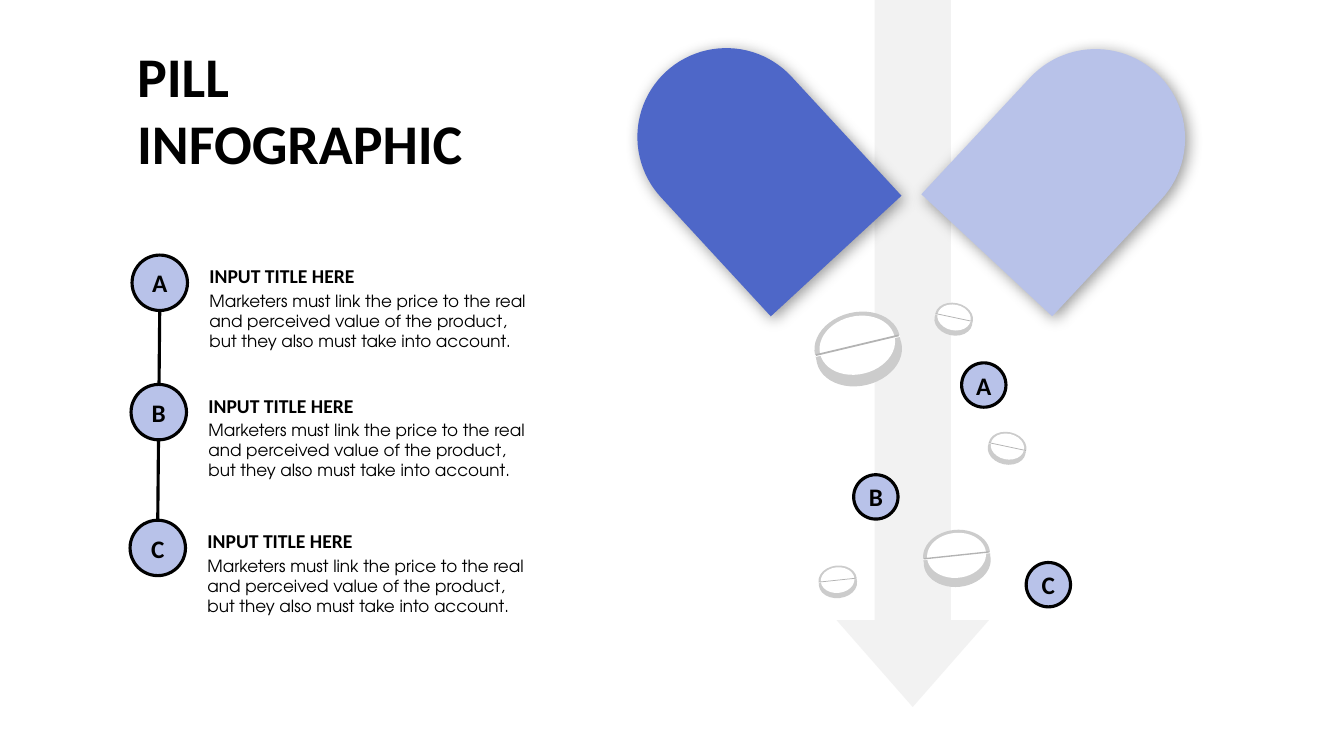
from collections import namedtuple
from math import cos, pi, radians, sin

from lxml.etree import SubElement
from pptx import Presentation
from pptx.dml.color import RGBColor
from pptx.enum.shapes import MSO_CONNECTOR, MSO_SHAPE
from pptx.enum.text import MSO_ANCHOR, MSO_AUTO_SIZE, PP_ALIGN
from pptx.oxml.ns import qn
from pptx.util import Pt

Box = namedtuple("Box", "left top width height")

BLACK, WHITE = "000000", "FFFFFF"
BLUE, LILAC = "4E67C8", "B8C2E9"
ARROW_GREY, RIM_GREY, GROOVE_GREY = "F2F2F2", "CCCCCC", "B3B3B3"

HEADING = "INPUT TITLE HERE"
DETAIL = ("Marketers must link the price to the real and perceived value "
          "of the product, but they also must take into account.")

TITLE_FONT = {"name": "Calibri", "size": Pt(40), "bold": True}
HEADING_FONT = {"name": "Calibri", "size": Pt(14), "bold": True}
BADGE_FONT = {"name": "Calibri", "size": Pt(18), "bold": True}
DETAIL_FONT = {"name": "TeX Gyre Adventor", "size": Pt(12), "bold": False}

BADGE_FRAME = {"margin_left": 0, "margin_right": 0, "margin_top": 0, "margin_bottom": 0,
               "vertical_anchor": MSO_ANCHOR.MIDDLE, "word_wrap": False}
TEXT_FRAME = {"auto_size": MSO_AUTO_SIZE.NONE, "vertical_anchor": MSO_ANCHOR.TOP,
              "word_wrap": True}


def colour(value):
    return RGBColor.from_string(value)


def lengths(box):
    return [Pt(value) for value in box]


def apply_format(target, values):
    for name, value in values.items():
        setattr(target, name, value)


def write(frame, text, font, frame_format, align=PP_ALIGN.LEFT):
    apply_format(frame, frame_format)
    para = frame.paragraphs[0]
    para.alignment = align
    para.line_spacing = 1.0
    span = para.add_run()
    span.text = text
    apply_format(span.font, font)
    span.font.color.rgb = colour(BLACK)


def paint(shape, fill):
    shape.shadow.inherit = False
    shape.fill.solid()
    shape.fill.fore_color.rgb = colour(fill)
    shape.line.fill.background()
    return shape


def add_preset(page, preset, box, fill):
    return paint(page.shapes.add_shape(preset, *lengths(box)), fill)


def add_text(page, box, text, font):
    write(page.shapes.add_textbox(*lengths(box)).text_frame, text, font, TEXT_FRAME)


def add_line(page, start, end, width, line_colour):
    line = page.shapes.add_connector(MSO_CONNECTOR.STRAIGHT, *lengths(start + end))
    line.line.width = Pt(width)
    line.line.color.rgb = colour(line_colour)
    SubElement(line._element.spPr, qn("a:effectLst"))


def add_badge(page, box, letter):
    badge = add_preset(page, MSO_SHAPE.OVAL, box, LILAC)
    badge.line.color.rgb = colour(BLACK)
    badge.line.width = Pt(2.25)
    write(badge.text_frame, letter, BADGE_FONT, BADGE_FRAME, PP_ALIGN.CENTER)


def add_soft_shadow(shape):
    effects = shape._element.spPr.find(qn("a:effectLst"))
    shadow = SubElement(effects, qn("a:outerShdw"), blurRad=str(Pt(11)), dist=str(Pt(3)),
                        dir="2700000", algn="tl", rotWithShape="0")
    shade = SubElement(shadow, qn("a:srgbClr"), val=BLACK)
    SubElement(shade, qn("a:alpha"), val="40000")


def add_half_capsule(page, x, y, radius, length, angle, fill):
    """Round cap centred on (x, y), with a straight body running towards angle."""
    axis = radians(angle)
    cap = [(x + radius * cos(axis + pi / 2 + pi * step / 48),
            y + radius * sin(axis + pi / 2 + pi * step / 48)) for step in range(49)]
    body = [(px + length * cos(axis), py + length * sin(axis)) for px, py in (cap[-1], cap[0])]
    points = [(Pt(px), Pt(py)) for px, py in cap + body]
    outline = page.shapes.build_freeform(*points[0])
    outline.add_line_segments(points[1:], close=True)
    add_soft_shadow(paint(outline.convert_to_shape(), fill))


def add_tablet(page, x, y, width, angle):
    """Tilted tablet: side, rim, white face and a groove across its middle."""
    axis = radians(angle)

    def lowered(distance):
        return x - distance * sin(axis), y + distance * cos(axis)

    for drop, scale, fill in ((0.09, 1, RIM_GREY), (0, 1, RIM_GREY), (0, 0.88, WHITE)):
        center_x, center_y = lowered(drop * width)
        wide, high = width * scale, width * 0.76 * scale
        layer = add_preset(page, MSO_SHAPE.OVAL,
                           Box(center_x - wide / 2, center_y - high / 2, wide, high), fill)
        layer.rotation = angle
    reach_x, reach_y = width / 2 * cos(axis), width / 2 * sin(axis)
    for drop, scale, line_colour in ((0.01, 1, WHITE), (0, 0.98, GROOVE_GREY)):
        center_x, center_y = lowered(drop * width)
        add_line(page, (center_x - reach_x * scale, center_y - reach_y * scale),
                 (center_x + reach_x * scale, center_y + reach_y * scale),
                 width * 0.02, line_colour)


def add_title(page, box):
    title = page.shapes.title
    apply_format(title, dict(zip(Box._fields, lengths(box))))
    write(title.text_frame, "PILL INFOGRAPHIC", TITLE_FONT, TEXT_FRAME)


def add_legend(page, box):
    size = 39.6
    badges = {letter: Box(box.left + shift, box.top + drop, size, size)
              for letter, shift, drop in (("A", 1.4, 0), ("B", 0.7, 92.4), ("C", 0, 189.4))}
    first, last = badges["A"], badges["C"]
    add_line(page, (first.left + size / 2, first.top + size),
             (last.left + size / 2, last.top), 2.25, BLACK)
    for letter, badge in badges.items():
        text_left = badge.left + 48.2
        add_text(page, Box(text_left, badge.top + 21.6, box.width - 48.2, 51), DETAIL, DETAIL_FONT)
        add_text(page, Box(text_left, badge.top + 3, 131, 24.5), HEADING, HEADING_FONT)
        add_badge(page, badge, letter)


def add_open_pill(page, box):
    """Down arrow, two capsule halves, and the tablets and badges that fall out."""
    left, top = box.left, box.top
    arrow = add_preset(page, MSO_SHAPE.DOWN_ARROW,
                       Box(left + 147.6, top, 108.7, box.height), ARROW_GREY)
    arrow.adjustments[0], arrow.adjustments[1] = 0.5, 0.57
    for x, y, radius, length, angle, fill in ((332.6, 99, 63.9, 114, 133, LILAC),
                                              (68.8, 97.9, 63.5, 115.7, 47.3, BLUE)):
        add_half_capsule(page, left + x, top + y, radius, length, angle, fill)
    for x, y, width, angle in ((162.4, 246.6, 62, -13.4), (233.3, 396.7, 48, -6),
                               (269.6, 319, 27.4, 12), (231.5, 226.8, 27.4, 12),
                               (148.3, 414.4, 27.4, -6)):
        add_tablet(page, left + x, top + y, width, angle)
    for letter, x, y in (("A", 236.9, 259.2), ("B", 159.8, 339.1), ("C", 283, 401.8)):
        add_badge(page, Box(left + x, top + y, 31.7, 31.7), letter)


def main():
    deck = Presentation()
    deck.slide_width, deck.slide_height = Pt(960), Pt(540)
    page = deck.slides.add_slide(deck.slide_layouts[5])
    add_open_pill(page, Box(450, 0, 410, 505))
    add_title(page, Box(90.7, 25.9, 303.8, 104.4))
    add_legend(page, Box(92.9, 182.2, 291.6, 262))
    deck.save("out.pptx")


if __name__ == "__main__":
    main()
